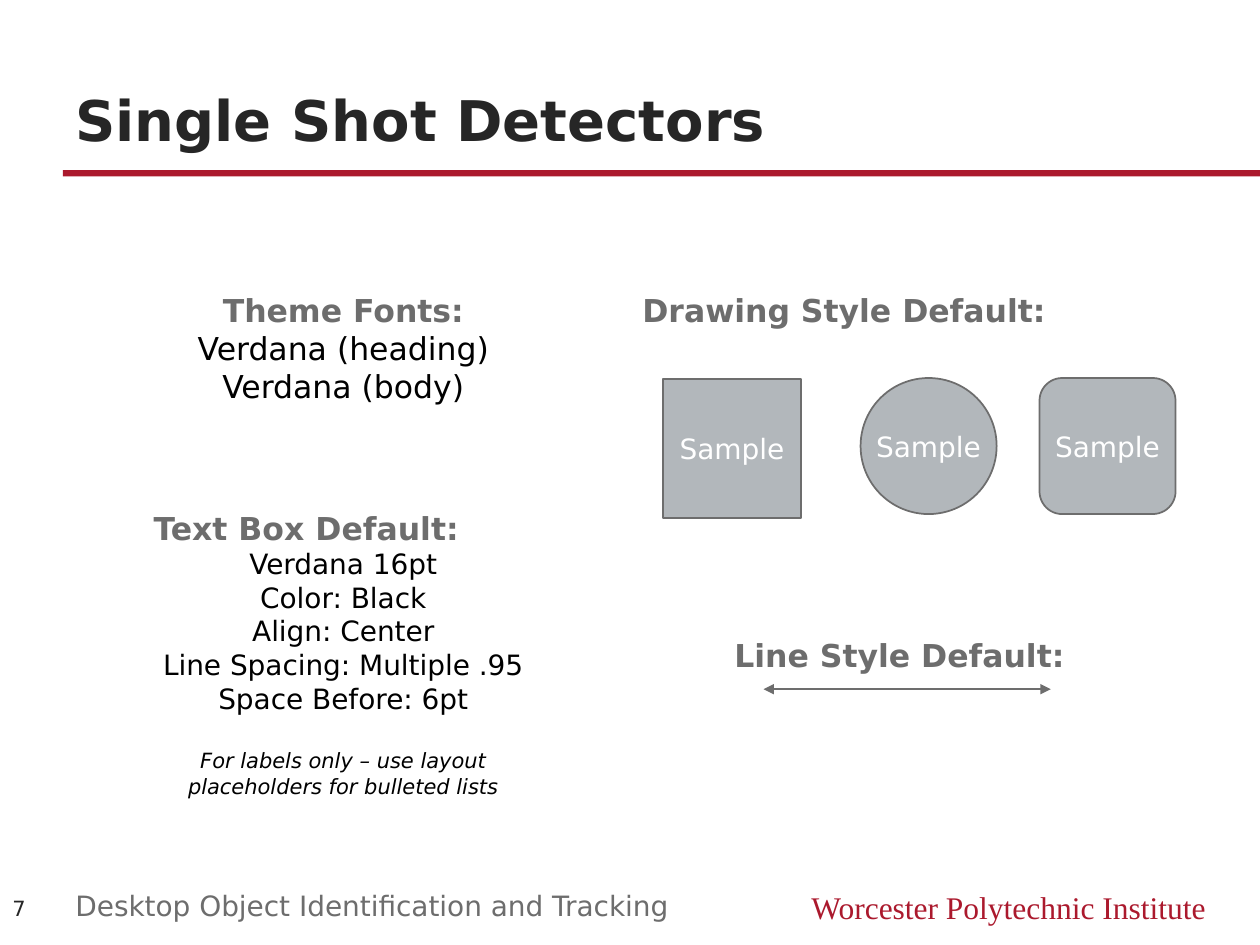
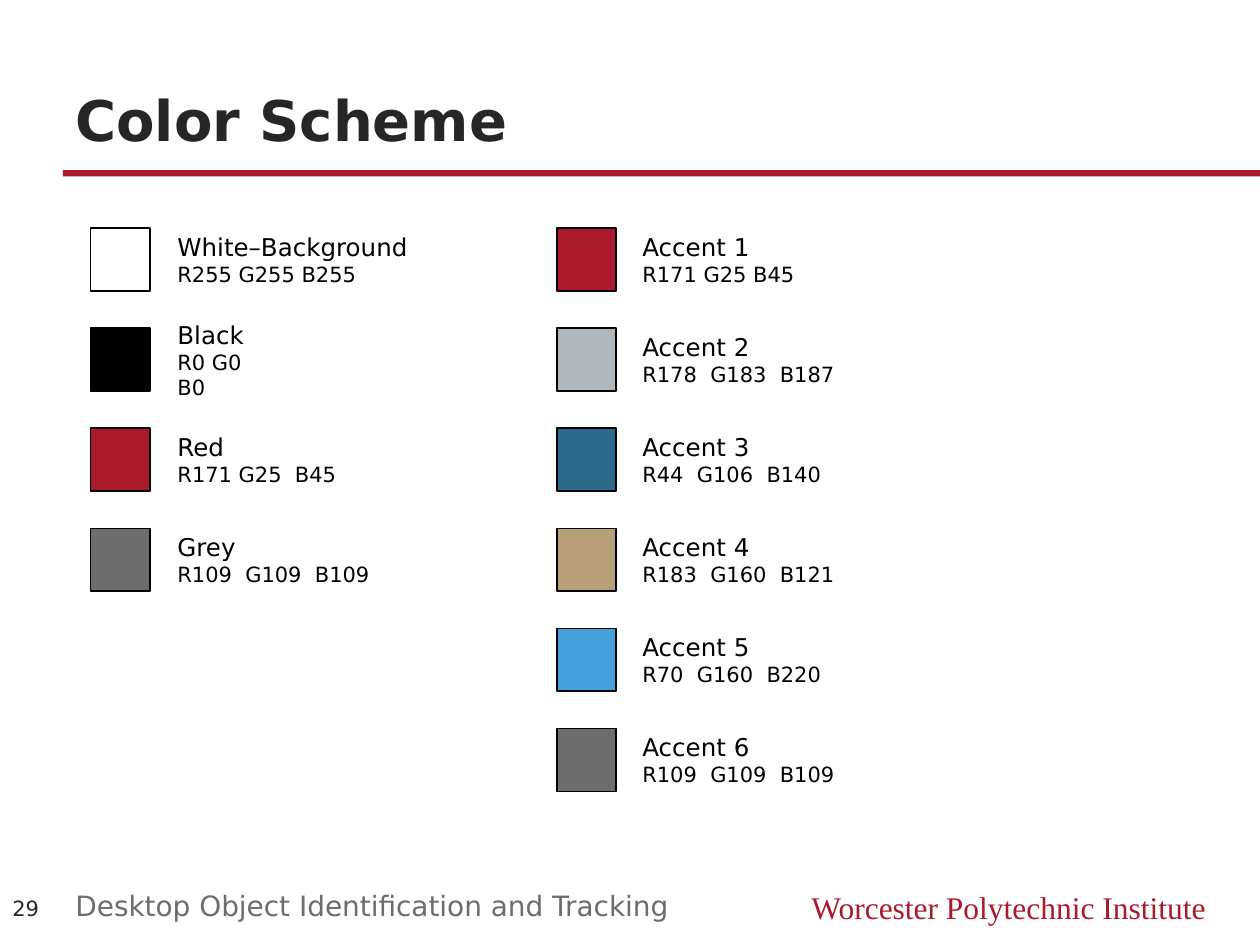
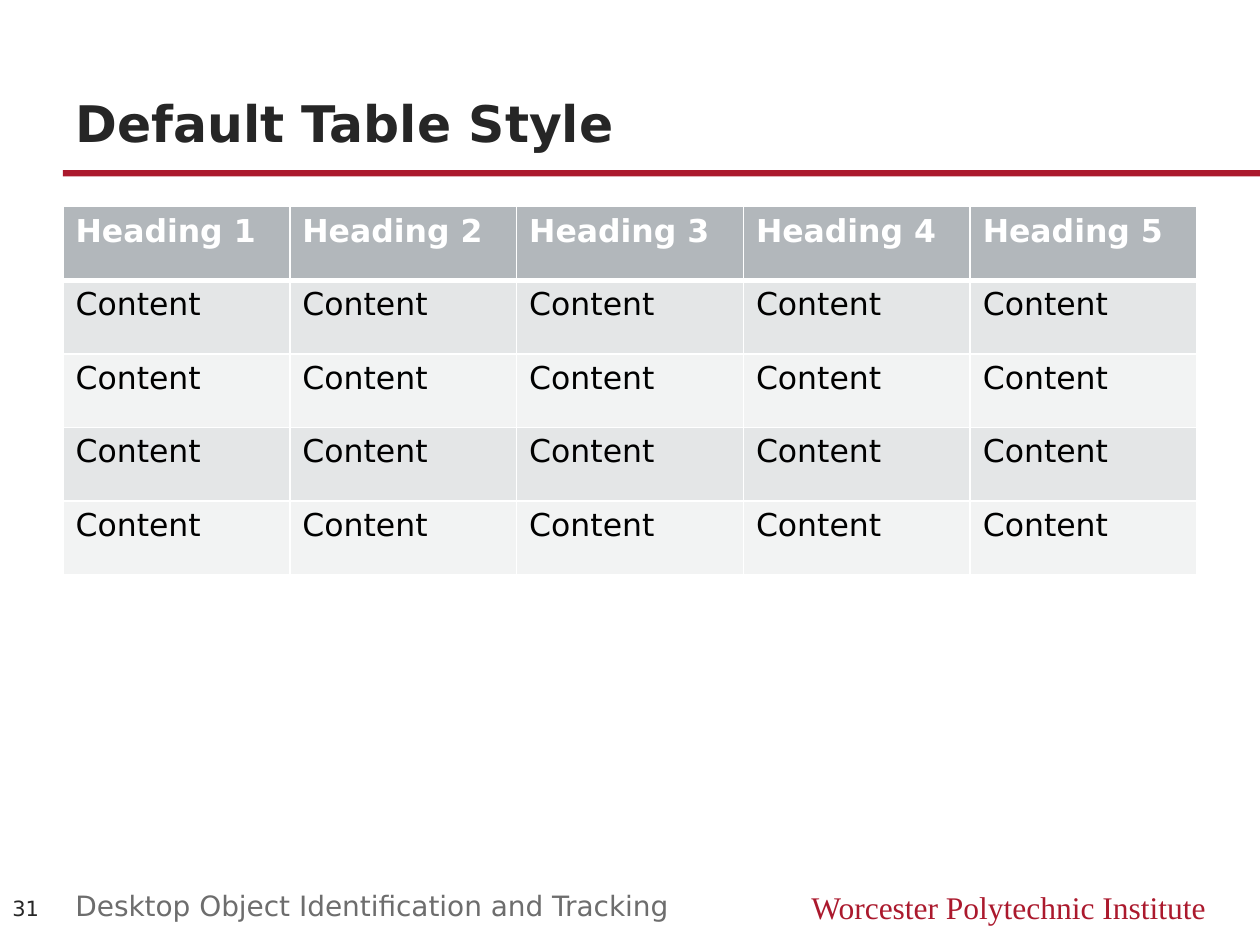
from lxml import etree
from pptx import Presentation
from pptx import util as u
from pptx.dml.color import RGBColor
from pptx.enum import shapes, text
from pptx.oxml import ns

RED = RGBColor(0xAB, 0x19, 0x2D)
GREY = RGBColor(0x6D, 0x6D, 0x6D)
SILVER = RGBColor(0xB2, 0xB7, 0xBB)
TEAL = RGBColor(0x2C, 0x6A, 0x8C)
TAN = RGBColor(0xB7, 0xA0, 0x79)
BLUE = RGBColor(0x46, 0xA0, 0xDC)
CHARCOAL = RGBColor(0x26, 0x26, 0x26)
BLACK = RGBColor(0x00, 0x00, 0x00)
WHITE = RGBColor(0xFF, 0xFF, 0xFF)
BAND_DARK = RGBColor(0xE4, 0xE6, 0xE7)
BAND_LIGHT = RGBColor(0xF2, 0xF3, 0xF3)

BODY_FONT = "DejaVu Sans"
INSTITUTE_FONT = "Times New Roman"
CENTER = text.PP_ALIGN.CENTER
MIDDLE = text.MSO_ANCHOR.MIDDLE
HEADING = dict(size=18, color=GREY, bold=True)

BASE_COLORS = [
    ("White–Background", "R255 G255 B255", WHITE, 2.06),
    ("Black", "R0 G0 B0", BLACK, 0.94),
    ("Red", "R171 G25  B45", RED, 1.49),
    ("Grey", "R109  G109  B109", GREY, 1.83),
]
ACCENT_COLORS = [
    ("Accent 1", "R171 G25 B45", RED, 1.43),
    ("Accent 2", "R178  G183  B187", SILVER, 1.77),
    ("Accent 3", "R44  G106  B140", TEAL, 1.66),
    ("Accent 4", "R183  G160  B121", TAN, 1.77),
    ("Accent 5", "R70  G160  B220", BLUE, 1.66),
    ("Accent 6", "R109  G109  B109", GREY, 1.77),
]


def inches(*lengths):
    """Convert numbers to lengths in inches."""
    return [u.Inches(length) for length in lengths]


def write(frame, words, size=16, color=BLACK, bold=False, italic=False,
          font=BODY_FONT, align=text.PP_ALIGN.LEFT, before=0):
    """Write one formatted paragraph, filling the empty first one if there is one."""
    paragraph = frame.paragraphs[0] if not frame.text else frame.add_paragraph()
    paragraph.alignment = align
    if before:
        paragraph.space_before = u.Pt(before)
    run = paragraph.add_run()
    run.text = words
    run.font.name = font
    run.font.size = u.Pt(size)
    run.font.bold = bold
    run.font.italic = italic
    run.font.color.rgb = color


def add_text_box(slide, box, *paragraphs, anchor=text.MSO_ANCHOR.TOP):
    """Add a wrapping text box holding (words, format) paragraphs."""
    frame = slide.shapes.add_textbox(*inches(*box)).text_frame
    frame.word_wrap = True
    frame.vertical_anchor = anchor
    for words, style in paragraphs:
        write(frame, words, **style)


def add_block(slide, kind, box, fill, line=None, width=1):
    """Add a flat preset shape with an optional outline."""
    shape = slide.shapes.add_shape(kind, *inches(*box))
    shape.shadow.inherit = False
    shape.fill.solid()
    shape.fill.fore_color.rgb = fill
    if line is None:
        shape.line.fill.background()
    else:
        shape.line.color.rgb = line
        shape.line.width = u.Pt(width)
    return shape


def add_base_slide(presentation, title, number, title_size=32):
    """Add a slide with the shared title, red rule and footer."""
    slide = presentation.slides.add_slide(presentation.slide_layouts[6])
    add_block(slide, shapes.MSO_SHAPE.RECTANGLE, (0.5, 1.35, 9.5, 0.05), RED)
    add_text_box(slide, (6, 7, 3.67, 0.4),
                 ("Worcester Polytechnic Institute",
                  dict(size=18, color=RED, font=INSTITUTE_FONT, align=text.PP_ALIGN.RIGHT)))
    add_text_box(slide, (0.5, 0.38, 9, 0.88),
                 (title, dict(size=title_size, color=CHARCOAL, bold=True)),
                 anchor=text.MSO_ANCHOR.BOTTOM)
    add_text_box(slide, (0, 6.99, 0.5, 0.43),
                 (str(number), dict(size=12, color=CHARCOAL)), anchor=MIDDLE)
    add_text_box(slide, (0.5, 7, 5.58, 0.33),
                 ("Desktop Object Identification and Tracking", dict(color=GREY)))
    return slide


def add_font_notes(slide, left, top, width):
    """Add the theme font and text box notes in one column."""
    centered = dict(align=CENTER)
    add_text_box(slide, (left, top, width, 1.01),
                 ("Theme Fonts:", dict(HEADING, align=CENTER)),
                 ("Verdana (heading)", dict(size=18, align=CENTER)),
                 ("Verdana (body)", dict(size=18, align=CENTER)))
    settings = ["Verdana 16pt", "Color: Black", "Align: Center",
                "Line Spacing: Multiple .95", "Space Before: 6pt"]
    add_text_box(slide, (left, top + 1.73, width, 2.42),
                 ("Text Box Default:", HEADING),
                 *[(setting, centered) for setting in settings],
                 ("For labels only – use layout placeholders for bulleted lists",
                  dict(size=12, italic=True, align=CENTER, before=19)))


def add_shape_samples(slide, left, top):
    """Add the drawing style heading with its three sample shapes."""
    add_text_box(slide, (left, top, 4.4, 0.63), ("Drawing Style Default:", HEADING))
    samples = [(shapes.MSO_SHAPE.RECTANGLE, 0.26, 0.75, 1.1),
               (shapes.MSO_SHAPE.OVAL, 1.83, 0.74, 1.08),
               (shapes.MSO_SHAPE.ROUNDED_RECTANGLE, 3.25, 0.74, 1.08)]
    for kind, across, down, side in samples:
        box = (left + across, top + down, side, side)
        frame = add_block(slide, kind, box, SILVER, GREY).text_frame
        frame.word_wrap = False
        frame.vertical_anchor = MIDDLE
        write(frame, "Sample", color=WHITE, align=CENTER)


def add_line_sample(slide, left, top):
    """Add the line style heading with a double-headed arrow."""
    y = top + 0.47
    connector = slide.shapes.add_connector(
        shapes.MSO_CONNECTOR.STRAIGHT, *inches(left + 0.33, y, left + 2.61, y))
    connector.line.color.rgb = GREY
    connector.line.width = u.Pt(1.5)
    line = connector.line._get_or_add_ln()
    for end in ("a:headEnd", "a:tailEnd"):
        etree.SubElement(line, ns.qn(end), type="triangle")
    etree.SubElement(connector._element.spPr, ns.qn("a:effectLst"))
    add_text_box(slide, (left, top, 2.94, 0.63), ("Line Style Default:", HEADING))


def add_swatches(slide, left, label_left, top, colors):
    """Add a column of colour swatches with their labels."""
    pitch = (5.78 - 1.81) / 5
    for row, (name, values, color, label_width) in enumerate(colors):
        y = top + row * pitch
        add_block(slide, shapes.MSO_SHAPE.RECTANGLE, (left, y, 0.47, 0.5),
                  color, BLACK, 0.75)
        add_text_box(slide, (label_left, y - 0.02, label_width, 0.54),
                     (name, dict(size=14)), (values, dict(size=12)), anchor=MIDDLE)


def set_borders(cell, **widths):
    """Draw white cell borders with the given widths in points."""
    properties = cell._tc.get_or_add_tcPr()
    for side in "LRTB":
        line = etree.SubElement(properties, ns.qn(f"a:ln{side}"),
                                w=str(u.Pt(widths.get(side, 1))))
        fill = etree.SubElement(line, ns.qn("a:solidFill"))
        etree.SubElement(fill, ns.qn("a:srgbClr"), val=str(WHITE))


def add_sample_table(slide, box, rows=5, columns=5):
    """Add a banded table with a heading row."""
    table = slide.shapes.add_table(rows, columns, *inches(*box)).table
    for row in range(rows):
        for column in range(columns):
            cell = table.cell(row, column)
            if row == 0:
                set_borders(cell, B=3)
                fill = SILVER
                write(cell.text_frame, f"Heading {column + 1}",
                      size=18, color=WHITE, bold=True)
            else:
                set_borders(cell, T=3 if row == 1 else 1)
                fill = BAND_DARK if row % 2 else BAND_LIGHT
                write(cell.text_frame, "Content", size=18)
            cell.fill.solid()
            cell.fill.fore_color.rgb = fill


def main():
    """Build the three slides and save them."""
    presentation = Presentation()
    presentation.slide_width, presentation.slide_height = inches(10, 7.5)

    styles = add_base_slide(presentation, "Single Shot Detectors", 7)
    add_font_notes(styles, 1.12, 2.26, 3.21)
    add_shape_samples(styles, 5, 2.26)
    add_line_sample(styles, 5.73, 5)

    scheme = add_base_slide(presentation, "Color Scheme", 29)
    add_swatches(scheme, 0.72, 1.31, 1.81, BASE_COLORS)
    add_swatches(scheme, 4.42, 5, 1.81, ACCENT_COLORS)

    table_style = add_base_slide(presentation, "Default Table Style", 31, title_size=28.8)
    add_sample_table(table_style, (0.5, 1.64, 9, 2.92))

    presentation.save("out.pptx")


if __name__ == "__main__":
    main()
